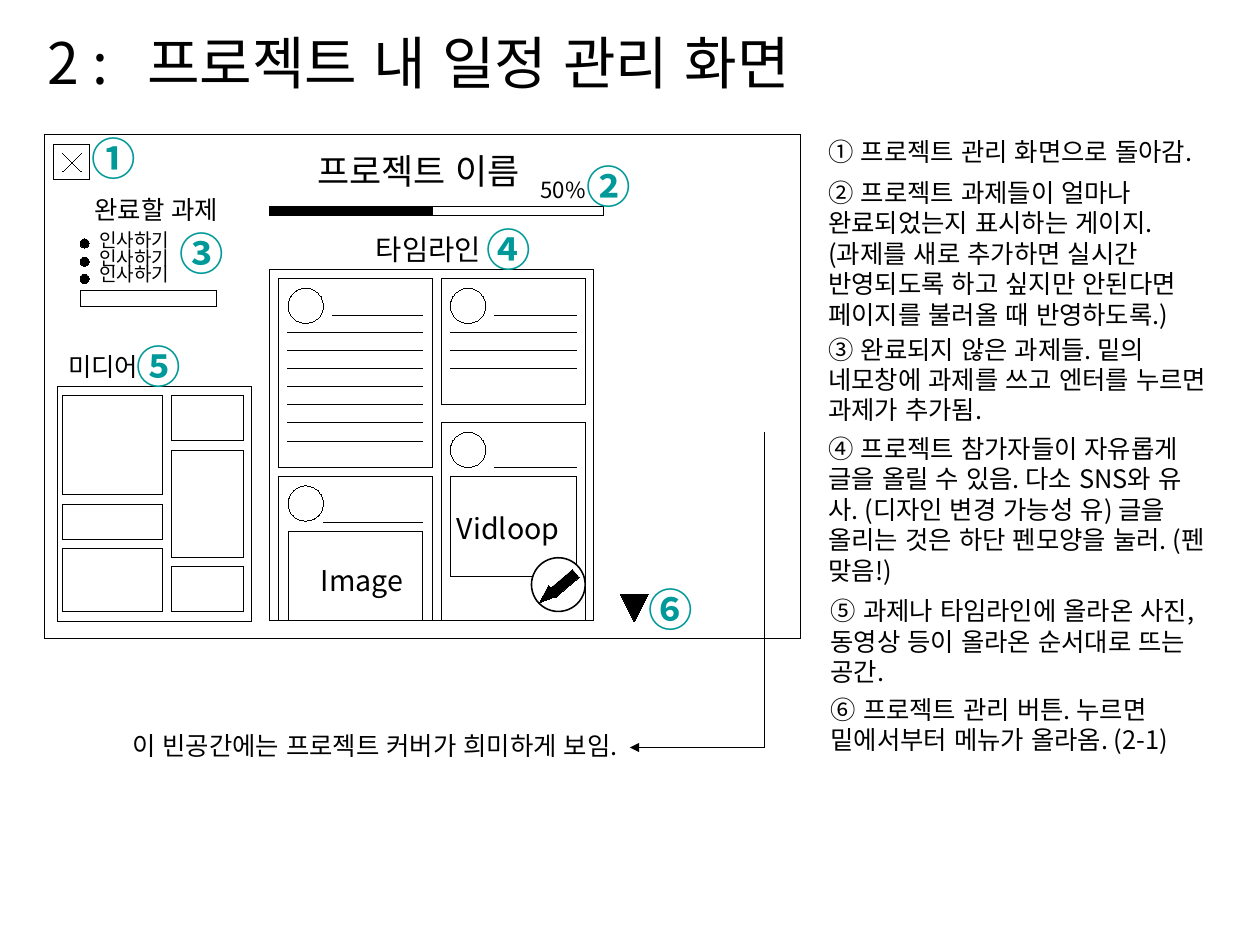
from lxml import etree
from pptx import Presentation
from pptx import util as u
from pptx.dml.color import RGBColor
from pptx.enum import lang, shapes, text
from pptx.oxml.ns import qn

PX = 9144  # EMU per px, 100 px to the inch
FONT = "Noto Sans CJK KR"
COLORS = {"ink": "000000", "paper": "FFFFFF", "accent": "009999"}
RECT = shapes.MSO_SHAPE.RECTANGLE
OVAL = shapes.MSO_SHAPE.OVAL
TRIANGLE = shapes.MSO_SHAPE.ISOSCELES_TRIANGLE
HAIRLINE = u.Emu(1)


def color(name):
    return RGBColor.from_string(COLORS[name])


class Wireframe:
    def __init__(self, page):
        self.page = page

    def shape(self, kind, left, top, width, height,
              fill="paper", weight=HAIRLINE, turn=0):
        box = self.page.shapes.add_shape(
            kind, left * PX, top * PX, width * PX, height * PX)
        box.shadow.inherit = False
        box.fill.solid()
        box.fill.fore_color.rgb = color(fill)
        box.line.color.rgb = color("ink")
        box.line.width = weight
        box.rotation = turn

    def line(self, x1, y1, x2, y2, arrow=False):
        rule = self.page.shapes.add_connector(
            shapes.MSO_CONNECTOR.STRAIGHT, x1 * PX, y1 * PX, x2 * PX, y2 * PX)
        rule.line.color.rgb = color("ink")
        rule.line.width = HAIRLINE
        if arrow:
            etree.SubElement(rule.line._get_or_add_ln(), qn("a:tailEnd"), type="triangle")
        etree.SubElement(rule._element.spPr, qn("a:effectLst"))

    def text(self, words, left, top, width, height, size=16,
             wrap=True, ink="ink", bold=False, tab=None):
        box = self.page.shapes.add_textbox(
            left * PX, top * PX, width * PX, height * PX)
        frame = box.text_frame
        frame.word_wrap = wrap
        frame.auto_size = text.MSO_AUTO_SIZE.SHAPE_TO_FIT_TEXT
        para = frame.paragraphs[0]
        para.add_run().text = words
        props = para._p.get_or_add_pPr()
        if tab:
            stops = etree.SubElement(props, qn("a:tabLst"))
            etree.SubElement(stops, qn("a:tab"), pos=str(tab * PX), algn="l")
        para.font.size = u.Pt(size)
        para.font.bold = bold
        para.font.color.rgb = color(ink)
        para.font.name = FONT
        para.font.language_id = lang.MSO_LANGUAGE_ID.KOREAN
        defaults = props.find(qn("a:defRPr"))
        defaults.set("kern", "0")
        etree.SubElement(defaults, qn("a:ea"), typeface=FONT)

    def marker(self, number, left, top):
        self.text(number, left, top, 56, 63, size=28, ink="accent", bold=True)

    def card(self, left, top, width, height, name_left=47, name_drop=32, body_lines=0):
        """A timeline post: avatar, name line and lines of body text."""
        right = left + width - 8
        self.shape(RECT, left, top, width, height)
        self.shape(OVAL, left + 8, top + 8, 31, 31)
        self.line(left + name_left, top + name_drop, right, top + name_drop)
        for index in range(body_lines):
            y = round(top + 47 + 15.75 * index)
            self.line(left + 8, y, right, y)


def main():
    deck = Presentation()
    deck.slide_width, deck.slide_height = u.Cm(28), u.Cm(21)
    wire = Wireframe(deck.slides.add_slide(deck.slide_layouts[6]))

    # Title and screen frame
    wire.text("2 :\t프로젝트 내 일정 관리 화면", 32, 19, 787, 83, size=36, tab=87)
    wire.shape(RECT, 39, 118, 661, 441)

    # Close button
    wire.shape(RECT, 47, 126, 31, 31)
    wire.line(55, 150, 71, 134)
    wire.line(55, 134, 71, 150)

    # Project name and progress bar
    wire.text("프로젝트 이름", 268, 126, 213, 54, size=22)
    wire.shape(RECT, 236, 181, 291, 8, fill="ink")
    wire.shape(RECT, 378, 181, 150, 8)
    wire.text("50%", 463, 149, 65, 36, size=14, wrap=False)

    # Timeline
    wire.text("타임라인", 319, 198, 114, 46, size=18, wrap=False)
    wire.shape(RECT, 236, 236, 283, 307)
    wire.card(244, 244, 134, 165, body_lines=7)
    wire.card(386, 244, 126, 110, body_lines=3)
    wire.card(244, 417, 134, 126, name_left=39, name_drop=40)
    wire.card(386, 370, 126, 173, name_drop=39)
    wire.shape(RECT, 252, 465, 118, 78)
    wire.text("Image", 271, 488, 95, 44, size=18, wrap=False)
    wire.shape(RECT, 394, 417, 110, 87)
    wire.text("Vidloop", 390, 442, 117, 44, size=18, wrap=False)

    # Pen button
    wire.shape(OVAL, 465, 488, 47, 47, weight=u.Pt(1))
    wire.shape(TRIANGLE, 472, 514, 12, 16, fill="ink", turn=229.1)
    wire.shape(RECT, 480, 506, 27, 9, fill="ink", turn=319.7)

    # Tasks to finish
    wire.text("완료할 과제", 73, 165, 130, 42)
    for dot_top, label_top in ((209, 195), (225, 211), (240, 225)):
        wire.shape(OVAL, 70, dot_top, 8, 8, fill="ink")
        wire.text("인사하기", 77, label_top, 82, 34, size=12, wrap=False)
    wire.shape(RECT, 70, 254, 119, 14)

    # Media gallery: two columns of tiles
    wire.text("미디어", 50, 302, 82, 42, wrap=False)
    wire.shape(RECT, 50, 338, 170, 206)
    columns = (
        (55, 87, ((346, 87), (441, 31), (480, 55))),
        (150, 63, ((346, 39), (394, 94), (496, 39))),
    )
    for left, width, tiles in columns:
        for top, height in tiles:
            wire.shape(RECT, left, top, width, height)

    # Menu button
    wire.shape(TRIANGLE, 543, 520, 24, 24, fill="ink", turn=180)

    # Numbered markers
    markers = (("①", 70, 110), ("②", 503, 134), ("③", 147, 193),
               ("④", 416, 189), ("⑤", 110, 292), ("⑥", 558, 504))
    for marker in markers:
        wire.marker(*marker)

    # Explanations
    notes = (
        ("① 프로젝트 관리 화면으로 돌아감.", 715, 114, 363, 42),
        ("② 프로젝트 과제들이 얼마나 완료되었는지 표시하는 게이지. "
         "(과제를 새로 추가하면 실시간 반영되도록 하고 싶지만 안된다면 "
         "페이지를 불러올 때 반영하도록.)", 715, 150, 356, 170),
        ("③ 완료되지 않은 과제들. 밑의 네모창에 과제를 쓰고 엔터를 누르면 "
         "과제가 추가됨.", 715, 287, 356, 106),
        ("④ 프로젝트 참가자들이 자유롭게 글을 올릴 수 있음. 다소 SNS와 유사. "
         "(디자인 변경 가능성 유) 글을 올리는 것은 하단 펜모양을 눌러. "
         "(펜 맞음!)", 715, 374, 350, 138),
        ("⑤ 과제나 타임라인에 올라온 사진, 동영상 등이 올라온 순서대로 뜨는 "
         "공간.", 717, 516, 354, 106),
        ("⑥ 프로젝트 관리 버튼. 누르면 밑에서부터 메뉴가 올라옴. (2-1)",
         717, 602, 346, 74),
    )
    for note in notes:
        wire.text(*note)

    # Remark on the empty space
    wire.line(669, 378, 669, 654)
    wire.line(669, 654, 551, 654, arrow=True)
    wire.text("이 빈공간에는 프로젝트 커버가 희미하게 보임.", 106, 634, 453, 42)

    deck.save("out.pptx")


if __name__ == "__main__":
    main()
